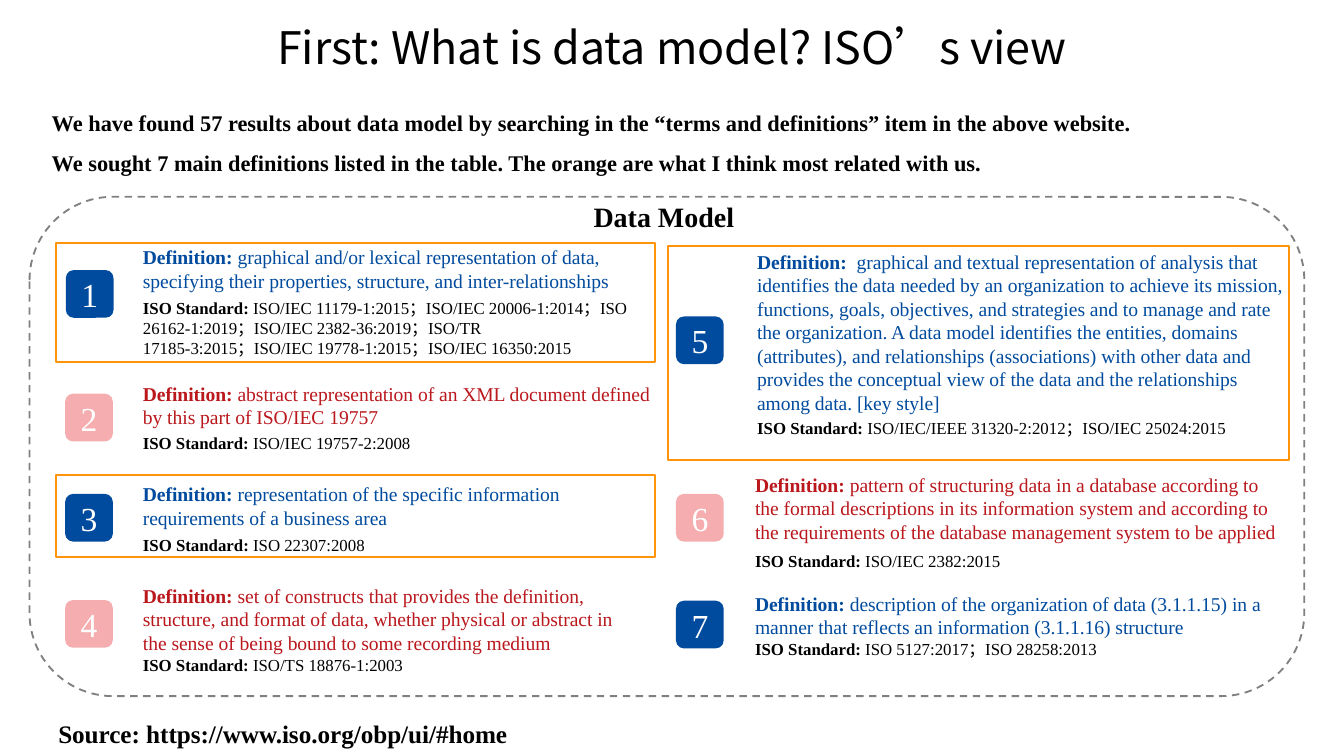
"""Build the slide on how ISO standards define a data model."""
from dataclasses import dataclass

from lxml.etree import SubElement
from pptx import Presentation
from pptx.dml.color import RGBColor
from pptx.enum.dml import MSO_LINE
from pptx.enum.shapes import MSO_SHAPE
from pptx.enum.text import MSO_ANCHOR, MSO_AUTO_SIZE, PP_ALIGN
from pptx.oxml.ns import qn
from pptx.util import Emu, Pt

EMU_PER_PX = 4572
SERIF = "Times New Roman"
SANS = "Noto Sans CJK SC"
BLUE, RED, PINK = "004B9E", "BA181D", "F5ADAF"
BLACK, WHITE, GRAY, ORANGE = "000000", "FFFFFF", "808080", "FF9409"


@dataclass(frozen=True)
class Box:
    left: int
    top: int
    width: int
    height: int

    def emu(self) -> tuple:
        return tuple(px(value) for value in (self.left, self.top, self.width, self.height))


@dataclass(frozen=True)
class Entry:
    number: int
    related: bool
    badge: Box
    definition_box: Box
    definition: str
    standard_box: Box
    standard: str


ENTRIES = [
    Entry(1, True, Box(98, 402, 71, 71), Box(193, 355, 820, 90),
          "graphical and/or lexical representation of data, specifying their properties, "
          "structure, and inter-relationships",
          Box(193, 433, 770, 112),
          "ISO/IEC 11179-1:2015；ISO/IEC 20006-1:2014；ISO 26162-1:2019；ISO/IEC 2382-36:2019；"
          "ISO/TR 17185-3:2015；ISO/IEC 19778-1:2015；ISO/IEC 16350:2015"),
    Entry(2, False, Box(97, 586, 71, 71), Box(193, 558, 802, 90),
          "abstract representation of an XML document defined by this part of ISO/IEC 19757",
          Box(193, 634, 506, 50), "ISO/IEC 19757-2:2008"),
    Entry(3, True, Box(97, 735, 71, 71), Box(193, 708, 786, 90),
          "representation of the specific information requirements of a business area",
          Box(193, 786, 550, 50), "ISO 22307:2008"),
    Entry(4, False, Box(97, 893, 71, 71), Box(193, 859, 742, 126),
          "set of constructs that provides the definition, structure, and format of data, "
          "whether physical or abstract in the sense of being bound to some recording medium",
          Box(193, 965, 508, 50), "ISO/TS 18876-1:2003"),
    Entry(5, True, Box(1006, 471, 71, 71), Box(1107, 362, 834, 268),
          " graphical and textual representation of analysis that identifies the data needed by "
          "an organization to achieve its mission, functions, goals, objectives, and strategies "
          "and to manage and rate the organization. A data model identifies the entities, domains "
          "(attributes), and relationships (associations) with other data and provides the "
          "conceptual view of the data and the relationships among data. [key style]",
          Box(1107, 612, 778, 50), "ISO/IEC/IEEE 31320-2:2012；ISO/IEC 25024:2015"),
    Entry(6, False, Box(1006, 735, 71, 71), Box(1104, 694, 826, 166),
          "pattern of structuring data in a database according to the formal descriptions in its "
          "information system and according to the requirements of the database management "
          "system to be applied",
          Box(1104, 809, 926, 50), "ISO/IEC 2382:2015"),
    Entry(7, True, Box(1006, 894, 71, 71), Box(1104, 871, 834, 90),
          "description of the organization of data (3.1.1.15) in a manner that reflects an "
          "information (3.1.1.16) structure",
          Box(1104, 941, 772, 50), "ISO 5127:2017；ISO 28258:2013"),
]
HIGHLIGHTS = [Box(83, 361, 892, 178), Box(83, 707, 892, 122), Box(994, 366, 924, 318)]
INTRODUCTION = [
    "We have found 57 results about data model by searching in the “terms and definitions” "
    "item in the above website.",
    "We sought 7 main definitions listed in the table. The orange are what I think most "
    "related with us.",
]


def px(value: int) -> Emu:
    return Emu(value * EMU_PER_PX)


def color(value: str) -> RGBColor:
    return RGBColor.from_string(value)


def add_run(paragraph, text: str, *, size: float, fill: str = BLACK, bold: bool = False,
            font: str = SERIF):
    run = paragraph.add_run()
    run.text = text
    run.font.name = font
    run.font.size = Pt(size)
    run.font.bold = bold
    run.font.color.rgb = color(fill)
    return run


def add_text_box(slide, box: Box, *, wrap: bool = True):
    frame = slide.shapes.add_textbox(*box.emu()).text_frame
    frame.word_wrap = wrap
    return frame


def add_outline(slide, kind: MSO_SHAPE, box: Box, line: str):
    shape = slide.shapes.add_shape(kind, *box.emu())
    shape.shadow.inherit = False
    shape.fill.background()
    shape.line.color.rgb = color(line)
    shape.line.width = Pt(1)
    return shape


def add_badge(slide, entry: Entry) -> None:
    shape = slide.shapes.add_shape(MSO_SHAPE.ROUNDED_RECTANGLE, *entry.badge.emu())
    shape.shadow.inherit = False
    shape.fill.solid()
    shape.fill.fore_color.rgb = color(BLUE if entry.related else PINK)
    shape.line.fill.background()
    shape.text_frame.vertical_anchor = MSO_ANCHOR.MIDDLE
    paragraph = shape.text_frame.paragraphs[0]
    paragraph.alignment = PP_ALIGN.CENTER
    add_run(paragraph, str(entry.number), size=18, fill=WHITE)


def add_labelled_text(slide, box: Box, label: str, text: str, size: float, fill: str) -> None:
    paragraph = add_text_box(slide, box).paragraphs[0]
    add_run(paragraph, label, size=size, fill=fill, bold=True)
    add_run(paragraph, text, size=size, fill=fill)


def add_entry(slide, entry: Entry) -> None:
    add_labelled_text(slide, entry.definition_box, "Definition: ", entry.definition,
                      10.5, BLUE if entry.related else RED)
    add_labelled_text(slide, entry.standard_box, "ISO Standard: ", entry.standard, 9, BLACK)
    add_badge(slide, entry)


def set_title(slide) -> None:
    title = slide.shapes.title
    title.left, title.top, title.width, title.height = Box(228, 20, 1544, 100).emu()
    frame = title.text_frame
    frame.auto_size = MSO_AUTO_SIZE.NONE
    frame.vertical_anchor = MSO_ANCHOR.MIDDLE
    paragraph = frame.paragraphs[0]
    paragraph.alignment = PP_ALIGN.CENTER
    run = add_run(paragraph, "First: What is data model? ISO’s view", size=24, font=SANS)
    SubElement(run.font._element, qn("a:ea"), typeface=SANS)


def add_introduction(slide) -> None:
    frame = add_text_box(slide, Box(63, 134, 1794, 130))
    frame.margin_left = frame.margin_right = px(14)
    frame.margin_top = frame.margin_bottom = px(8)
    for index, text in enumerate(INTRODUCTION):
        paragraph = frame.add_paragraph() if index else frame.paragraphs[0]
        paragraph.line_spacing = 1.5
        add_run(paragraph, text, size=12, bold=True)


def main() -> None:
    presentation = Presentation()
    presentation.slide_width, presentation.slide_height = px(2000), px(1125)
    slide = presentation.slides.add_slide(presentation.slide_layouts[5])
    set_title(slide)
    add_introduction(slide)
    for entry in ENTRIES:
        add_entry(slide, entry)

    source = add_text_box(slide, Box(67, 1037, 718, 88), wrap=False).paragraphs[0]
    source.line_spacing = 1.5
    add_run(source, "Source: https://www.iso.org/obp/ui/#home", size=13.5, bold=True)

    frame = add_outline(slide, MSO_SHAPE.ROUNDED_RECTANGLE, Box(44, 293, 1897, 743), GRAY)
    frame.line.dash_style = MSO_LINE.DASH
    heading = add_text_box(slide, Box(791, 287, 394, 70)).paragraphs[0]
    heading.alignment = PP_ALIGN.CENTER
    add_run(heading, "Data Model", size=15, bold=True)
    for box in HIGHLIGHTS:
        add_outline(slide, MSO_SHAPE.RECTANGLE, box, ORANGE)
    presentation.save("out.pptx")


if __name__ == "__main__":
    main()
